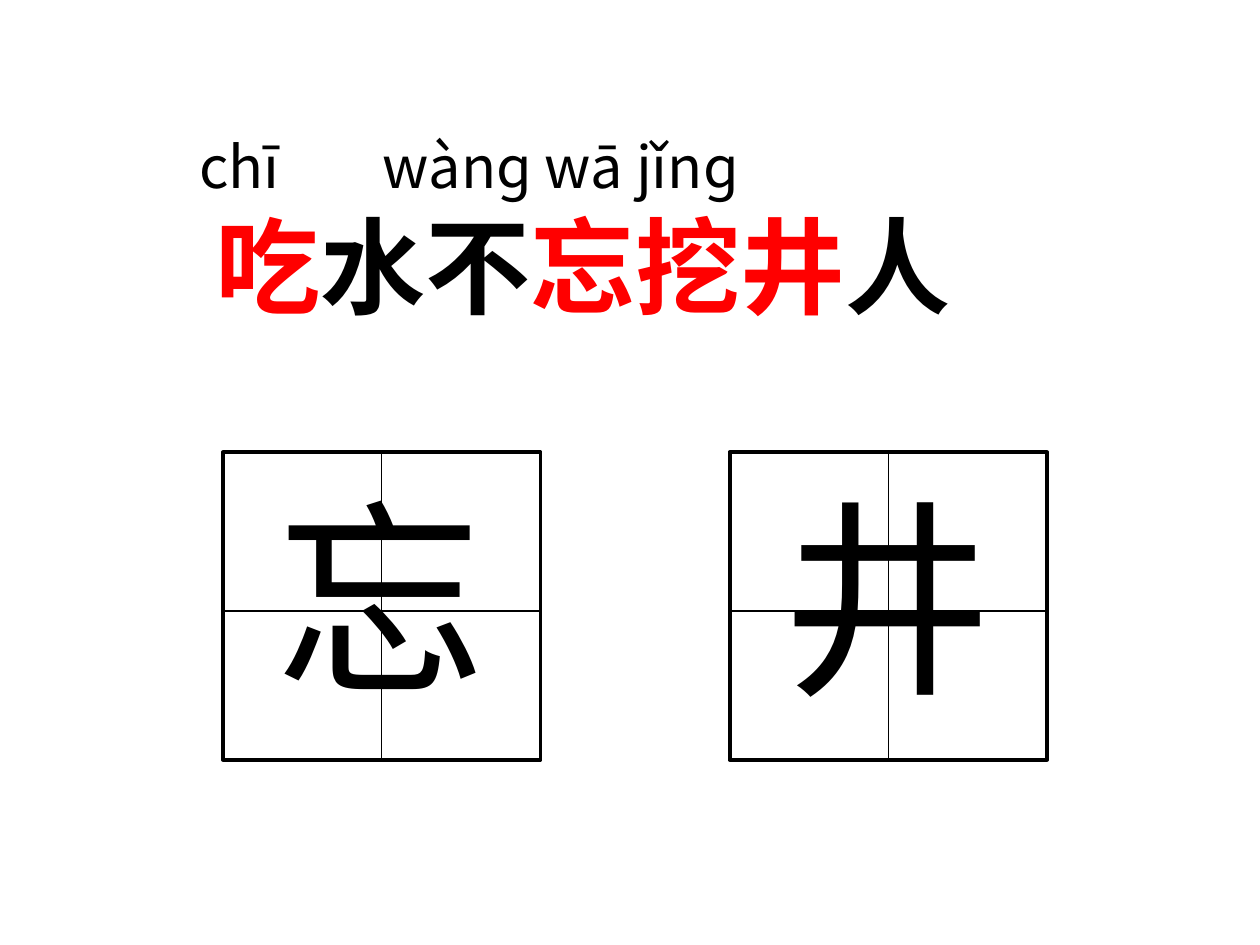
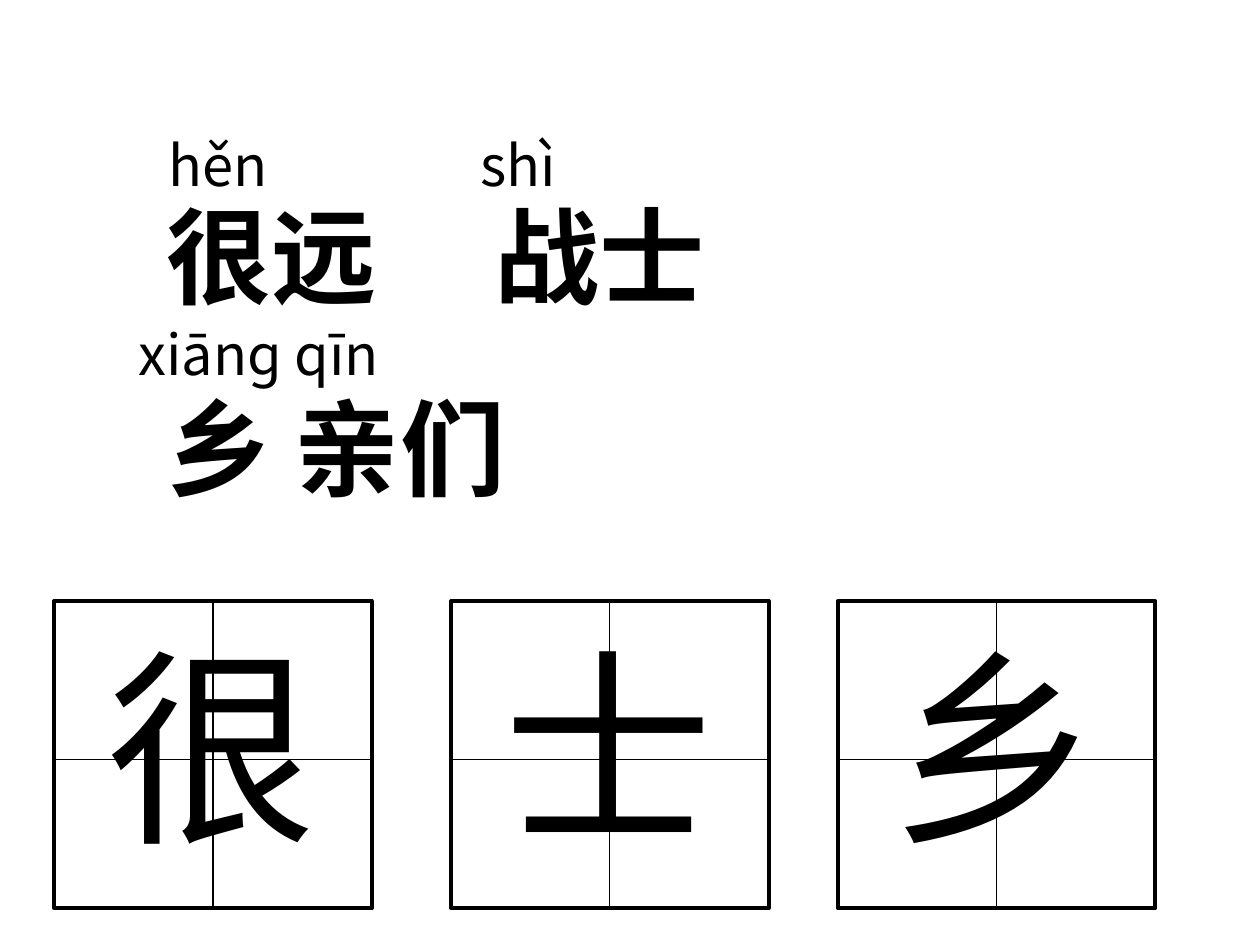
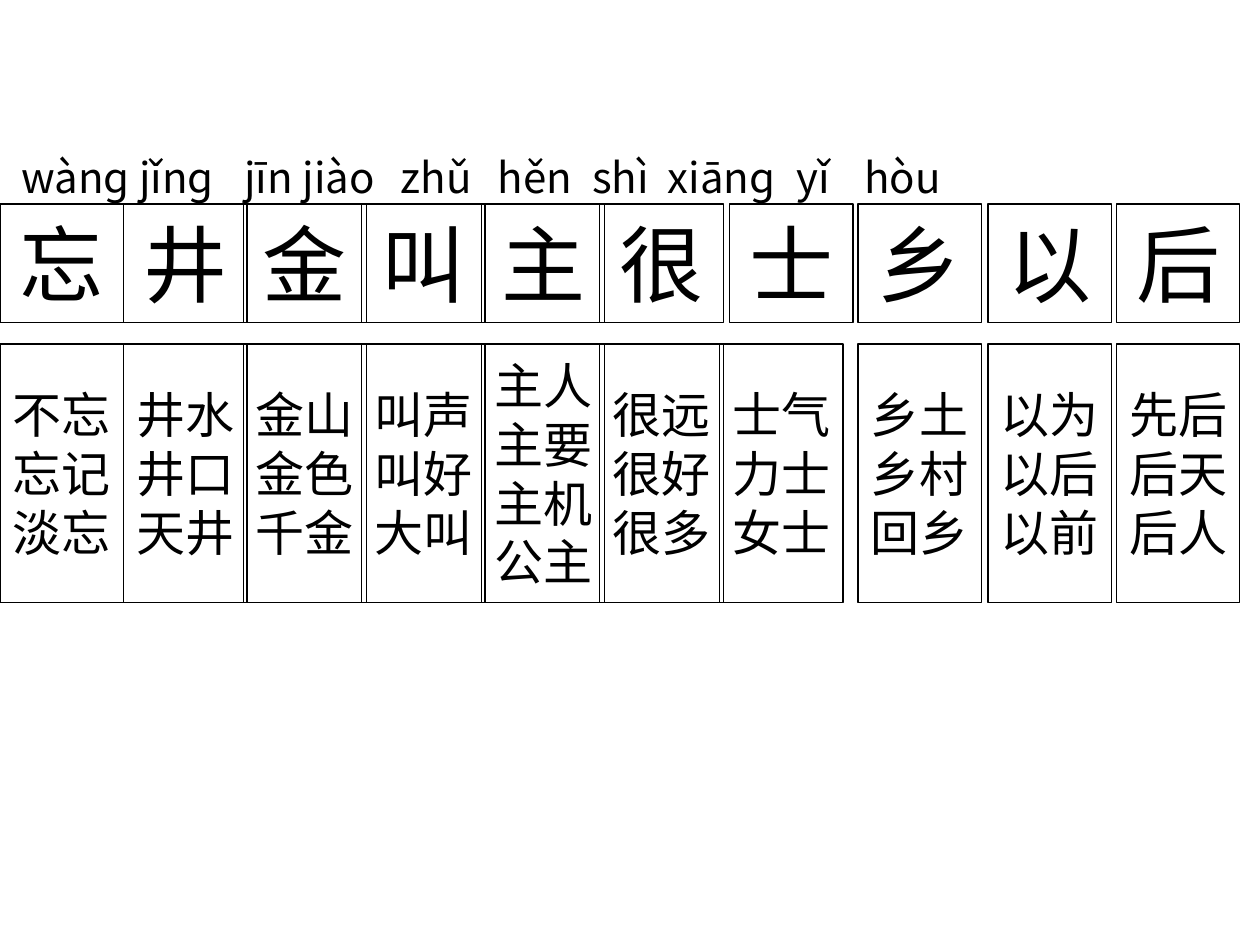
from lxml.etree import SubElement
from pptx import Presentation
from pptx.dml.color import RGBColor
from pptx.enum.shapes import MSO_CONNECTOR, MSO_SHAPE
from pptx.enum.text import MSO_ANCHOR, PP_ALIGN
from pptx.oxml.ns import qn
from pptx.util import Inches, Pt

BLACK = RGBColor(0x00, 0x00, 0x00)
RED = RGBColor(0xFF, 0x00, 0x00)
CHINESE_FONT = "Noto Sans CJK SC"
LATIN_FONT = "Arial"


def write_text(shape, lines, size, font=CHINESE_FONT, bold=False, stops=(),
               space_before=0, align=PP_ALIGN.LEFT):
    """Fill a shape with lines, each a list of (text, colour) runs."""
    frame = shape.text_frame
    for number, line in enumerate(lines):
        paragraph = frame.add_paragraph() if number else frame.paragraphs[0]
        if stops:
            tab_list = SubElement(paragraph._p.get_or_add_pPr(), qn("a:tabLst"))
            for stop in stops:
                SubElement(tab_list, qn("a:tab"), pos=str(Inches(stop)), algn="l")
        paragraph.alignment = align
        if number and space_before:
            paragraph.space_before = Pt(space_before)
        for text, color in line:
            run = paragraph.add_run()
            run.text = text
            run.font.size = Pt(size)
            run.font.bold = bold
            run.font.color.rgb = color
            run.font.name = font
            SubElement(run._r.get_or_add_rPr(), qn("a:ea"), typeface=CHINESE_FONT)


def add_box(shapes, left, top, width, height, line_width=None):
    """Add an outlined rectangle, or a wrapping text box without a line."""
    place = Inches(left), Inches(top), Inches(width), Inches(height)
    if line_width is None:
        shape = shapes.add_textbox(*place)
        shape.text_frame.word_wrap = True
        return shape
    shape = shapes.add_shape(MSO_SHAPE.RECTANGLE, *place)
    shape.shadow.inherit = False
    shape.fill.background()
    shape.line.color.rgb = BLACK
    shape.line.width = Pt(line_width)
    return shape


presentation = Presentation()
presentation.slide_width = Inches(10)
presentation.slide_height = Inches(7.5)
title_slide, words_slide, review_slide = [
    presentation.slides.add_slide(presentation.slide_layouts[6]) for _ in range(3)]

# Large headings
title = add_box(title_slide.shapes, 1.61, 1.55, 7.32, 1.1)
write_text(title, [[("吃", RED), ("水不", BLACK), ("忘挖井", RED), ("人", BLACK)]],
           60, bold=True)
words = add_box(words_slide.shapes, 1.22, 1.47, 8.35, 2.62)
write_text(words, [[("很远\t战士", BLACK)], [("乡 亲们", BLACK)]],
           60, bold=True, stops=[2.61], space_before=37.5)

# Pinyin lines: slide, box, left inset, size, text, tab stops
pinyin_lines = [
    (title_slide, (1.38, 0.99, 7.4, 0.65), 0.2, 33, "chī\twànɡ wā jǐnɡ", [1.46]),
    (words_slide, (1.14, 0.99, 7.4, 0.64), 0.2, 32, "hěn\tshì", [2.47]),
    (words_slide, (0.9, 2.49, 8.82, 0.64), 0.2, 32, "xiānɡ qīn", []),
    (review_slide, (0, 1.15, 9.8, 0.5), 0.17, 24,
     "wànɡ jǐnɡ\tjīn jiào\tzhǔ\thěn\tshì\txiānɡ\tyǐ\thòu",
     [1.77, 3.01, 3.78, 4.53, 5.13, 6.15, 6.69]),
]
for slide, box, inset, size, text, stops in pinyin_lines:
    pinyin = add_box(slide.shapes, *box)
    pinyin.text_frame.margin_left = Inches(inset)
    write_text(pinyin, [[(text, BLACK)]], size, stops=stops)

# Writing grids: square, two guide lines and one character
GRID_WIDTH, GRID_HEIGHT, GUIDE_DROP = 2.52, 2.44, 1.26
writing_grids = [
    (title_slide, 1.77, 3.59, "忘"),
    (title_slide, 5.79, 3.59, "井"),
    (words_slide, 0.43, 4.77, "很"),
    (words_slide, 3.58, 4.77, "士"),
    (words_slide, 6.65, 4.77, "乡"),
]
for slide, left, top, character in writing_grids:
    shapes = slide.shapes.add_group_shape().shapes
    square = add_box(shapes, left, top, GRID_WIDTH, GRID_HEIGHT, 2.25)
    middle = left + GRID_WIDTH / 2
    guide_top = top + GUIDE_DROP
    guides = [
        (middle, top, middle, top + GRID_HEIGHT),
        (left, guide_top, left + GRID_WIDTH, guide_top),
    ]
    for ends in guides:
        guide = shapes.add_connector(MSO_CONNECTOR.STRAIGHT, *map(Inches, ends))
        guide.line.color.rgb = BLACK
        guide.line.width = Pt(0.75)
        SubElement(guide._element.spPr, qn("a:effectLst"))
        if ends[0] == middle:
            guide.begin_connect(square, 0)
            guide.end_connect(square, 2)
    label = add_box(shapes, left + 0.32, top + 0.08, 2.68, 2.1)
    write_text(label, [[(character, BLACK)]], 120, LATIN_FONT)

# Review columns: character left, words left, character, words
review_columns = [
    (0, 0, "忘", "不忘 忘记 淡忘"),
    (0.98, 0.98, "井", "井水 井口 天井"),
    (1.93, 1.93, "金", "金山 金色 千金"),
    (2.87, 2.87, "叫", "叫声 叫好 大叫"),
    (3.82, 3.82, "主", "主人 主要 主机 公主"),
    (4.76, 4.76, "很", "很远 很好 很多"),
    (5.79, 5.71, "士", "士气 力士 女士"),
    (6.81, 6.81, "乡", "乡土 乡村 回乡"),
    (7.84, 7.84, "以", "以为 以后 以前"),
    (8.86, 8.86, "后", "先后 后天 后人"),
]
for character_left, words_left, character, word_list in review_columns:
    cells = [
        (character_left, 1.62, 0.94, 48, character),
        (words_left, 2.73, 2.05, 28, word_list),
    ]
    for left, top, height, size, text in cells:
        cell = add_box(review_slide.shapes, left, top, 0.98, height, 0.75)
        cell.text_frame.word_wrap = False
        cell.text_frame.vertical_anchor = MSO_ANCHOR.MIDDLE
        write_text(cell, [[(word, BLACK)] for word in text.split()], size,
                   LATIN_FONT, align=PP_ALIGN.CENTER)

presentation.save("out.pptx")
